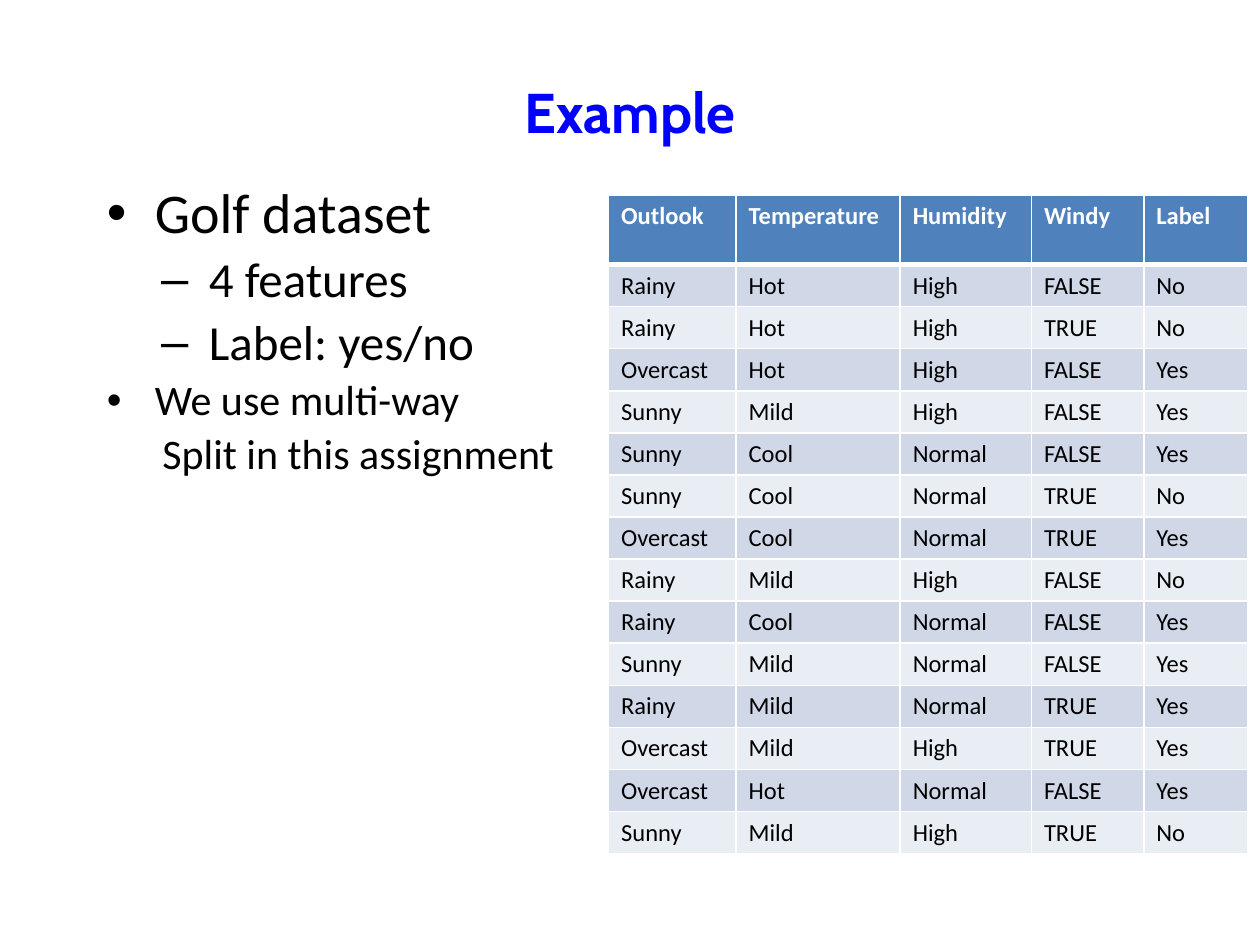
from lxml import etree
from pptx import Presentation
from pptx.dml.color import RGBColor
from pptx.enum.text import MSO_ANCHOR, PP_ALIGN
from pptx.oxml.ns import qn
from pptx.util import Inches, Pt

MIDDLE = MSO_ANCHOR.MIDDLE
CENTER = PP_ALIGN.CENTER

WHITE, BLACK, BLUE = "FFFFFF", "000000", "0000FF"
HEADER_FILL = "4F81BD"
BAND_FILLS = ("D0D8E8", "E9EDF4")

POINTS = [
    ("Golf dataset", 32, 0, 0.38, -0.38, "•"),
    ("4 features", 28, 1, 0.81, -0.38, "–"),
    ("Label: yes/no", 28, 1, 0.81, -0.38, "–"),
    ("We use multi-way", 24, 0, 0.38, -0.38, "•"),
    ("Split in this assignment", 24, 1, 0.44, 0, None),
]

COLUMN_WIDTHS = (1.01, 1.3, 1.04, 0.89, 0.82)
GOLF_DATA = [
    ("Outlook", "Temperature", "Humidity", "Windy", "Label"),
    ("Rainy", "Hot", "High", "FALSE", "No"),
    ("Rainy", "Hot", "High", "TRUE", "No"),
    ("Overcast", "Hot", "High", "FALSE", "Yes"),
    ("Sunny", "Mild", "High", "FALSE", "Yes"),
    ("Sunny", "Cool", "Normal", "FALSE", "Yes"),
    ("Sunny", "Cool", "Normal", "TRUE", "No"),
    ("Overcast", "Cool", "Normal", "TRUE", "Yes"),
    ("Rainy", "Mild", "High", "FALSE", "No"),
    ("Rainy", "Cool", "Normal", "FALSE", "Yes"),
    ("Sunny", "Mild", "Normal", "FALSE", "Yes"),
    ("Rainy", "Mild", "Normal", "TRUE", "Yes"),
    ("Overcast", "Mild", "High", "TRUE", "Yes"),
    ("Overcast", "Hot", "Normal", "FALSE", "Yes"),
    ("Sunny", "Mild", "High", "TRUE", "No"),
]


def set_color(color_format, hex_color):
    color_format.rgb = RGBColor.from_string(hex_color)


def set_fill(fill, hex_color):
    fill.solid()
    set_color(fill.fore_color, hex_color)


def add_run(paragraph, text, size, color, font="Calibri", bold=False):
    run = paragraph.add_run()
    run.text = text
    run.font.size = Pt(size)
    run.font.name = font
    run.font.bold = bold
    set_color(run.font.color, color)


def set_bullet(paragraph, left, hanging, character):
    properties = paragraph._p.get_or_add_pPr()
    properties.set("marL", str(Inches(left)))
    properties.set("indent", str(Inches(hanging)))
    if character:
        font = etree.SubElement(properties, qn("a:buFont"))
        font.set("typeface", "Arial")
        etree.SubElement(properties, qn("a:buChar")).set("char", character)
    else:
        etree.SubElement(properties, qn("a:buNone"))


def set_borders(cell, bottom_width):
    properties = cell._tc.get_or_add_tcPr()
    widths = (("a:lnL", 1), ("a:lnR", 1), ("a:lnT", 1), ("a:lnB", bottom_width))
    for index, (side, width) in enumerate(widths):
        line = etree.Element(qn(side), w=str(Pt(width)))
        solid = etree.SubElement(line, qn("a:solidFill"))
        etree.SubElement(solid, qn("a:srgbClr")).set("val", WHITE)
        properties.insert(index, line)


def add_text_frame(slide, left, top, width, height):
    box = slide.shapes.add_textbox(
        Inches(left), Inches(top), Inches(width), Inches(height))
    box.text_frame.word_wrap = True
    return box.text_frame


def add_title(slide, left, top, width, height):
    title = add_text_frame(slide, left, top, width, height)
    title.vertical_anchor = MIDDLE
    heading = title.paragraphs[0]
    heading.alignment = CENTER
    add_run(heading, "Example", 32, BLUE, "Cabin", True)


def add_points(slide, left, top, width, height):
    body = add_text_frame(slide, left, top, width, height)
    for index, (text, size, level, indent, hanging, bullet) in enumerate(POINTS):
        point = body.add_paragraph() if index else body.paragraphs[0]
        point.level = level
        point.line_spacing = 0.9
        point.space_before = Pt(size * 0.2)
        set_bullet(point, indent, hanging, bullet)
        add_run(point, text, size, BLACK)


def add_golf_table(slide, left, top, width, height):
    table = slide.shapes.add_table(
        len(GOLF_DATA), len(COLUMN_WIDTHS),
        Inches(left), Inches(top), Inches(width), Inches(height)).table
    for column, share in zip(table.columns, COLUMN_WIDTHS):
        column.width = Inches(width * share / sum(COLUMN_WIDTHS))
    header_height = 0.55
    record_height = (height - header_height) / (len(GOLF_DATA) - 1)
    for row_index, record in enumerate(GOLF_DATA):
        is_header = row_index == 0
        table.rows[row_index].height = Inches(
            header_height if is_header else record_height)
        fill = HEADER_FILL if is_header else BAND_FILLS[(row_index - 1) % 2]
        for column_index, value in enumerate(record):
            cell = table.cell(row_index, column_index)
            set_fill(cell.fill, fill)
            set_borders(cell, 3 if is_header else 1)
            add_run(cell.text_frame.paragraphs[0], value, 14,
                    WHITE if is_header else BLACK, bold=is_header)


presentation = Presentation()
presentation.slide_width = Inches(10)
presentation.slide_height = Inches(7.5)
slide = presentation.slides.add_slide(presentation.slide_layouts[6])
set_fill(slide.background.fill, WHITE)
add_title(slide, 0.5, 0.26, 9, 1.25)
add_points(slide, 0.75, 1.42, 8.75, 5.58)
add_golf_table(slide, 4.83, 1.55, 5.07, 5.22)
presentation.save("out.pptx")
